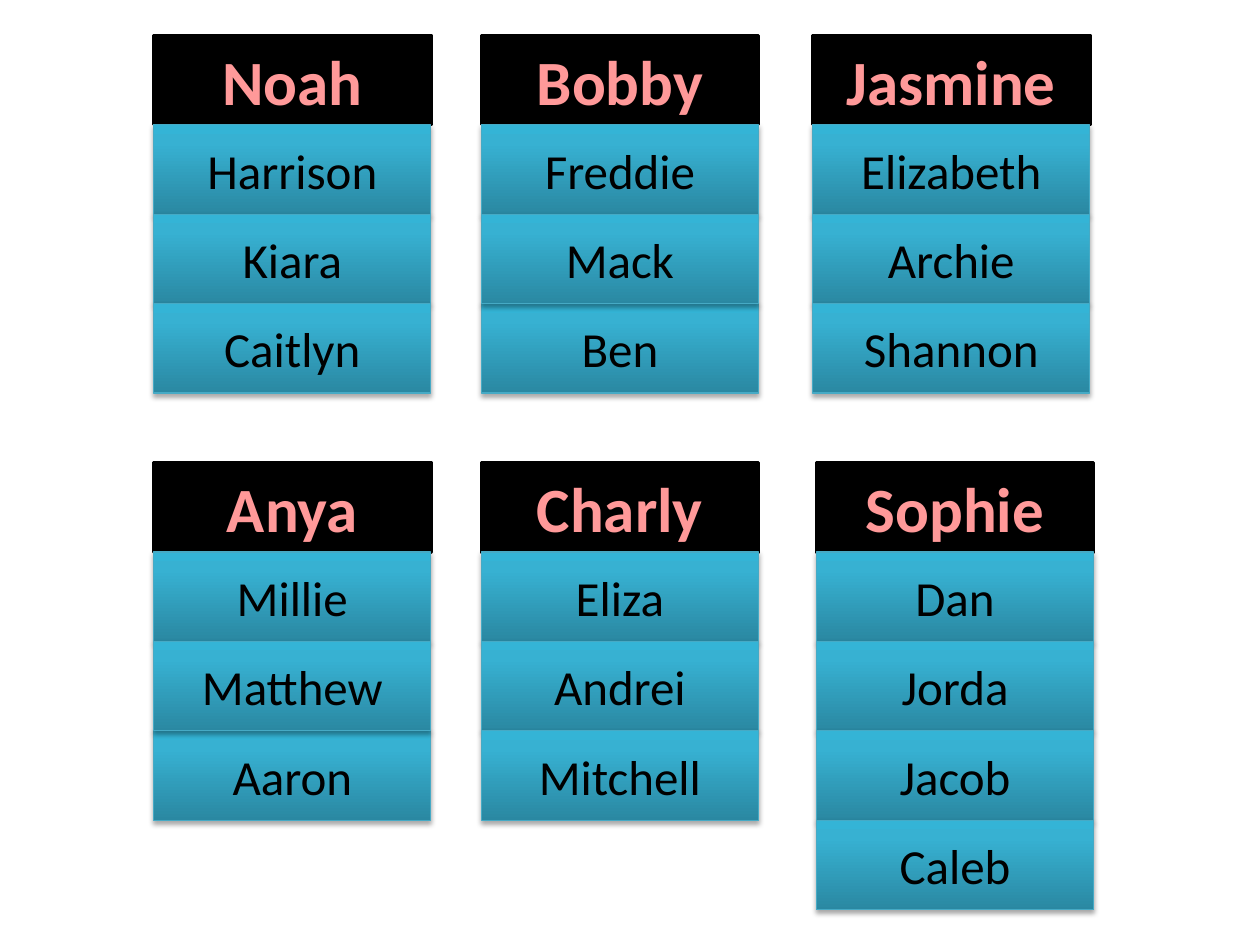
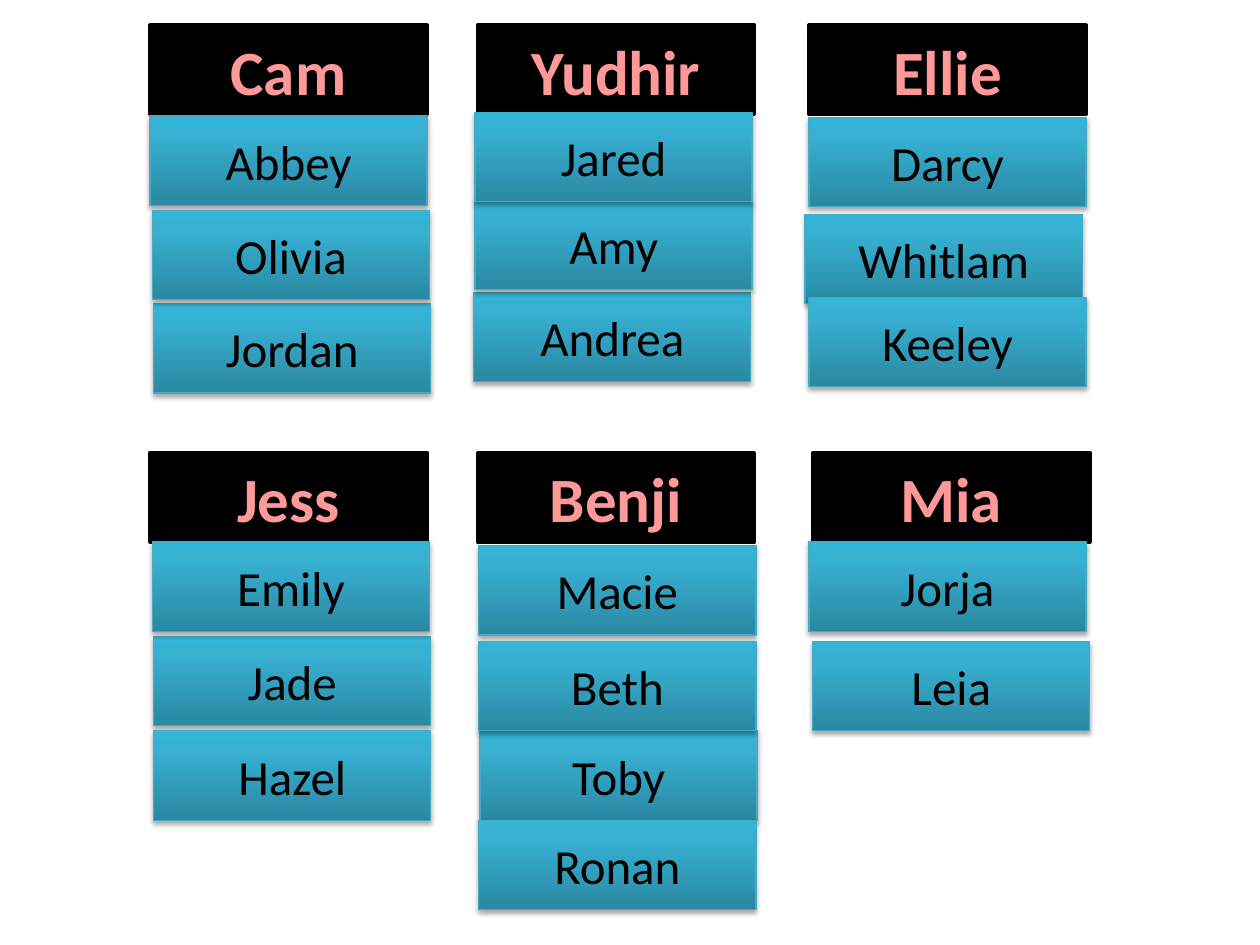
from copy import deepcopy
from dataclasses import dataclass

from pptx import Presentation
from pptx.dml.color import RGBColor
from pptx.enum.shapes import MSO_SHAPE as Shape
from pptx.enum.text import MSO_ANCHOR as Anchor, PP_ALIGN as Align
from pptx.oxml import parse_xml
from pptx.oxml.ns import nsdecls, qn
from pptx.util import Inches, Pt

FONT = "Calibri"
BLACK = "000000"
LEADER_TEXT = "FF9999"
LEADER_OUTLINE = "FF0000"
MEMBER_LINE = "46AAC5"
MEMBER_STOPS = ((0, "2A88A2"), (0.8, "37B1D2"), (1, "34B4D6"))

CARD_WIDTH = 2.2
CARD_HEIGHT = 0.71
GROUP_TOPS = (0.28, 3.67)
GROUP_LEFTS = ((1.22, 3.82, 6.45), (1.22, 3.82, 6.48))


@dataclass
class Member:
    name: str
    slot: int
    right: float = 0
    down: float = 0


FIRST_GROUPS = (
    (
        ("Noah", [Member("Harrison", 1), Member("Kiara", 2), Member("Caitlyn", 3)]),
        ("Bobby", [Member("Freddie", 1), Member("Ben", 3), Member("Mack", 2)]),
        ("Jasmine", [Member("Elizabeth", 1), Member("Archie", 2), Member("Shannon", 3)]),
    ),
    (
        ("Anya", [Member("Aaron", 3), Member("Millie", 1), Member("Matthew", 2)]),
        ("Charly", [Member("Eliza", 1), Member("Andrei", 2), Member("Mitchell", 3)]),
        ("Sophie", [Member("Dan", 1), Member("Jorda", 2), Member("Jacob", 3),
                    Member("Caleb", 4)]),
    ),
)

SECOND_GROUPS = (
    (
        ("Cam", [Member("Abbey", 1, 0, 0.01), Member("Jordan", 3, 0.03, 0.08),
                 Member("Olivia", 2, 0.02, 0.05)]),
        ("Yudhir", [Member("Andrea", 3, -0.03, -0.01), Member("Amy", 2, -0.02, -0.03),
                    Member("Jared", 1, -0.02, -0.02)]),
        ("Ellie", [Member("Whitlam", 2, -0.03, 0.08), Member("Keeley", 3, 0, 0.03),
                   Member("Darcy", 1, 0, 0.02)]),
    ),
    (
        ("Jess", [Member("Jade", 2, 0.03, 0.04), Member("Hazel", 3, 0.03, 0.08),
                  Member("Emily", 1, 0.02)]),
        ("Benji", [Member("Toby", 3, 0.02, 0.08), Member("Macie", 1, 0.01, 0.03),
                   Member("Beth", 2, 0.01, 0.08), Member("Ronan", 4, 0.01, 0.08)]),
        ("Mia", [Member("Jorja", 1, -0.03), Member("Leia", 2, 0, 0.08)]),
    ),
)


def color(value):
    return RGBColor.from_string(value)


def add_card(page, left, top, name, size, text_color, line_color, line_width):
    card = page.shapes.add_shape(Shape.RECTANGLE, Inches(left), Inches(top),
                                 Inches(CARD_WIDTH), Inches(CARD_HEIGHT))
    card.shadow.inherit = False
    card.line.color.rgb = color(line_color)
    card.line.width = Pt(line_width)
    frame = card.text_frame
    frame.text = name
    frame.word_wrap = True
    frame.vertical_anchor = Anchor.MIDDLE
    para = frame.paragraphs[0]
    para.alignment = Align.CENTER
    span = para.runs[0]
    span.font.name = FONT
    span.font.size = Pt(size)
    span.font.color.rgb = color(text_color)
    return card, span


def add_leader(page, left, top, name):
    card, span = add_card(page, left, top, name, 36, LEADER_TEXT, BLACK, 2)
    card.fill.solid()
    card.fill.fore_color.rgb = color(BLACK)
    span.font.bold = True
    outline = parse_xml(
        f'<a:ln {nsdecls("a")} w="{Pt(1.75)}"><a:solidFill>'
        f'<a:srgbClr val="{LEADER_OUTLINE}"/></a:solidFill></a:ln>')
    span.font._element.insert(0, outline)


def add_member(page, left, top, name):
    card, _ = add_card(page, left, top, name, 28, BLACK, MEMBER_LINE, 0.75)
    card.fill.gradient()
    card.fill.gradient_angle = 90
    properties = card._element.spPr
    stop_list = properties.find(".//" + qn("a:gsLst"))
    stop_list.append(deepcopy(stop_list[-1]))
    for stop, (position, value) in zip(card.fill.gradient_stops, MEMBER_STOPS):
        stop.position = position
        stop.color.rgb = color(value)
    shadow = parse_xml(
        f'<a:outerShdw {nsdecls("a")} blurRad="{Pt(3.1)}" dist="{Pt(1.8)}" '
        f'dir="5400000" rotWithShape="0"><a:srgbClr val="{BLACK}">'
        '<a:alpha val="35000"/></a:srgbClr></a:outerShdw>')
    properties.find(qn("a:effectLst")).append(shadow)


def add_group(page, left, top, leader, members):
    add_leader(page, left, top, leader)
    for member in members:
        add_member(page, left + member.right,
                   top + member.slot * CARD_HEIGHT + member.down, member.name)


def add_groups_page(deck, groups, right=0, down=0):
    page = deck.slides.add_slide(deck.slide_layouts[6])
    for top, lefts, row in zip(GROUP_TOPS, GROUP_LEFTS, groups):
        for left, (leader, members) in zip(lefts, row):
            add_group(page, left + right, top + down, leader, members)


def main():
    deck = Presentation()
    deck.slide_width = Inches(10)
    deck.slide_height = Inches(7.5)
    add_groups_page(deck, FIRST_GROUPS)
    add_groups_page(deck, SECOND_GROUPS, right=-0.03, down=-0.08)
    deck.save("out.pptx")


if __name__ == "__main__":
    main()
